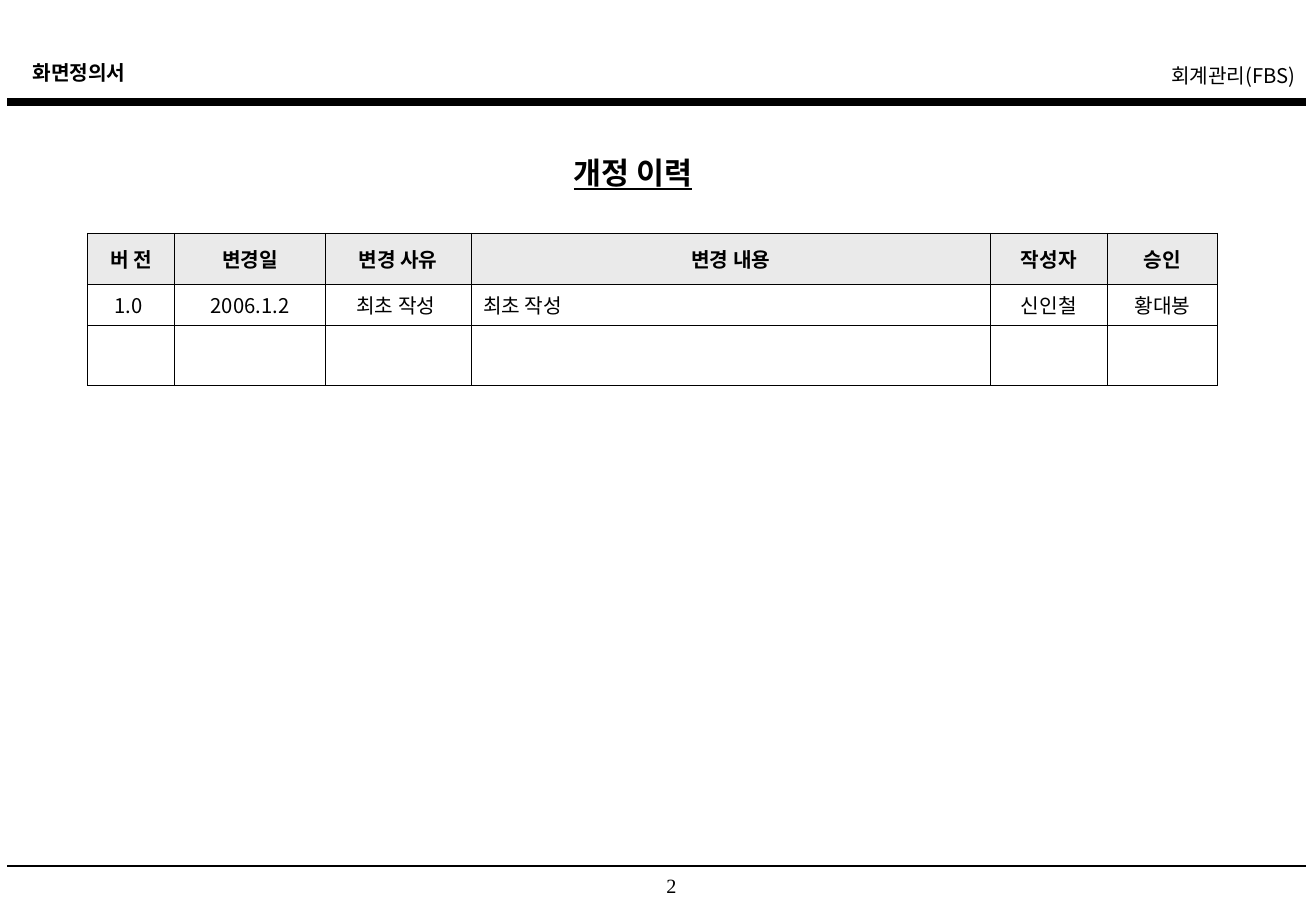
import pptx
import pptx.dml.color
import pptx.enum.shapes
import pptx.enum.text
import pptx.oxml.ns
import pptx.util
from lxml import etree

Inches = pptx.util.Inches
Pt = pptx.util.Pt
Align = pptx.enum.text.PP_ALIGN
qn = pptx.oxml.ns.qn

BLACK = pptx.dml.color.RGBColor(0x00, 0x00, 0x00)
HEADER_GREY = pptx.dml.color.RGBColor(0xEA, 0xEA, 0xEA)
KOREAN = "Noto Sans CJK KR"
LATIN = "Times New Roman"

# Content: text, (left, top, width, height), alignment, font, size, bold, underline
TEXTS = [
    ("화면정의서", (0.17, 0.45, 4.35, 0.34), Align.LEFT, KOREAN, 12, True, False),
    ("회계관리(FBS)", (6.08, 0.47, 4.69, 0.34), Align.RIGHT, KOREAN, 12, False, False),
    ("개정 이력", (4.63, 1.22, 1.53, 0.46), Align.LEFT, KOREAN, 18, True, True),
    ("2", (5.14, 7.14, 0.78, 0.27), Align.CENTER, LATIN, 12, False, False),
]
RULES = [(0.84, 4.5), (7.13, 1)]  # height on the page, line width
RULE_LEFT, RULE_RIGHT = 0.06, 10.76

REVISIONS = [
    ("버 전", "변경일", "변경 사유", "변경 내용", "작성자", "승인"),
    ("1.0 ", "2006.1.2", "최초 작성 ", "최초 작성", "신인철", "황대봉"),
    ("", "", "", "", "", ""),
]
TABLE_LEFT, TABLE_TOP = 0.72, 1.92
COLUMN_WIDTHS = [0.72, 1.24, 1.2, 4.28, 0.96, 0.91]
ROW_HEIGHTS = [0.42, 0.34, 0.49]
DETAIL_COLUMN = 3
BORDER_WIDTH = 0.45


def style_paragraph(para, align, font, size, bold, underline=False):
    para.alignment = align
    para.font.name = font
    para.font.size = Pt(size)
    para.font.bold = bold
    para.font.underline = underline
    para.font.color.rgb = BLACK
    east_asian = etree.Element(qn("a:ea"), typeface=font)
    para.font._element.find(qn("a:latin")).addnext(east_asian)


def add_text(page, text, place, *style):
    box = page.shapes.add_textbox(*map(Inches, place))
    box.text_frame.word_wrap = True
    para = box.text_frame.paragraphs[0]
    para.text = text
    style_paragraph(para, *style)


def add_rule(page, height, width):
    y = Inches(height)
    rule = page.shapes.add_connector(
        pptx.enum.shapes.MSO_CONNECTOR.STRAIGHT,
        Inches(RULE_LEFT), y, Inches(RULE_RIGHT), y)
    rule.line.color.rgb = BLACK
    rule.line.width = Pt(width)
    etree.SubElement(rule._element.spPr, qn("a:effectLst"))


def add_borders(cell):
    properties = cell._tc.get_or_add_tcPr()
    for index, side in enumerate(("lnL", "lnR", "lnT", "lnB")):
        line = etree.Element(qn("a:" + side), w=str(Pt(BORDER_WIDTH)))
        fill = etree.SubElement(line, qn("a:solidFill"))
        etree.SubElement(fill, qn("a:srgbClr"), val=str(BLACK))
        properties.insert(index, line)


def add_revision_table(page):
    table = page.shapes.add_table(
        len(REVISIONS), len(COLUMN_WIDTHS), Inches(TABLE_LEFT), Inches(TABLE_TOP),
        Inches(sum(COLUMN_WIDTHS)), Inches(sum(ROW_HEIGHTS))).table
    table.horz_banding = False
    for column, width in zip(table.columns, COLUMN_WIDTHS):
        column.width = Inches(width)
    for row_index, values in enumerate(REVISIONS):
        table.rows[row_index].height = Inches(ROW_HEIGHTS[row_index])
        is_header = row_index == 0
        for column_index, value in enumerate(values):
            cell = table.cell(row_index, column_index)
            cell.vertical_anchor = pptx.enum.text.MSO_ANCHOR.MIDDLE
            if is_header:
                cell.fill.solid()
                cell.fill.fore_color.rgb = HEADER_GREY
            else:
                cell.fill.background()
            add_borders(cell)
            if value:
                is_detail = column_index == DETAIL_COLUMN and not is_header
                para = cell.text_frame.paragraphs[0]
                para.text = value
                style_paragraph(para, Align.LEFT if is_detail else Align.CENTER,
                                KOREAN, 12, is_header)


def main():
    deck = pptx.Presentation()
    deck.slide_width = Inches(10.84)
    deck.slide_height = Inches(7.5)
    page = deck.slides.add_slide(deck.slide_layouts[6])

    # Header and footer rules
    for rule in RULES:
        add_rule(page, *rule)

    # Headings and page number
    for text in TEXTS:
        add_text(page, *text)

    # Revision history
    add_revision_table(page)
    deck.save("out.pptx")


if __name__ == "__main__":
    main()
